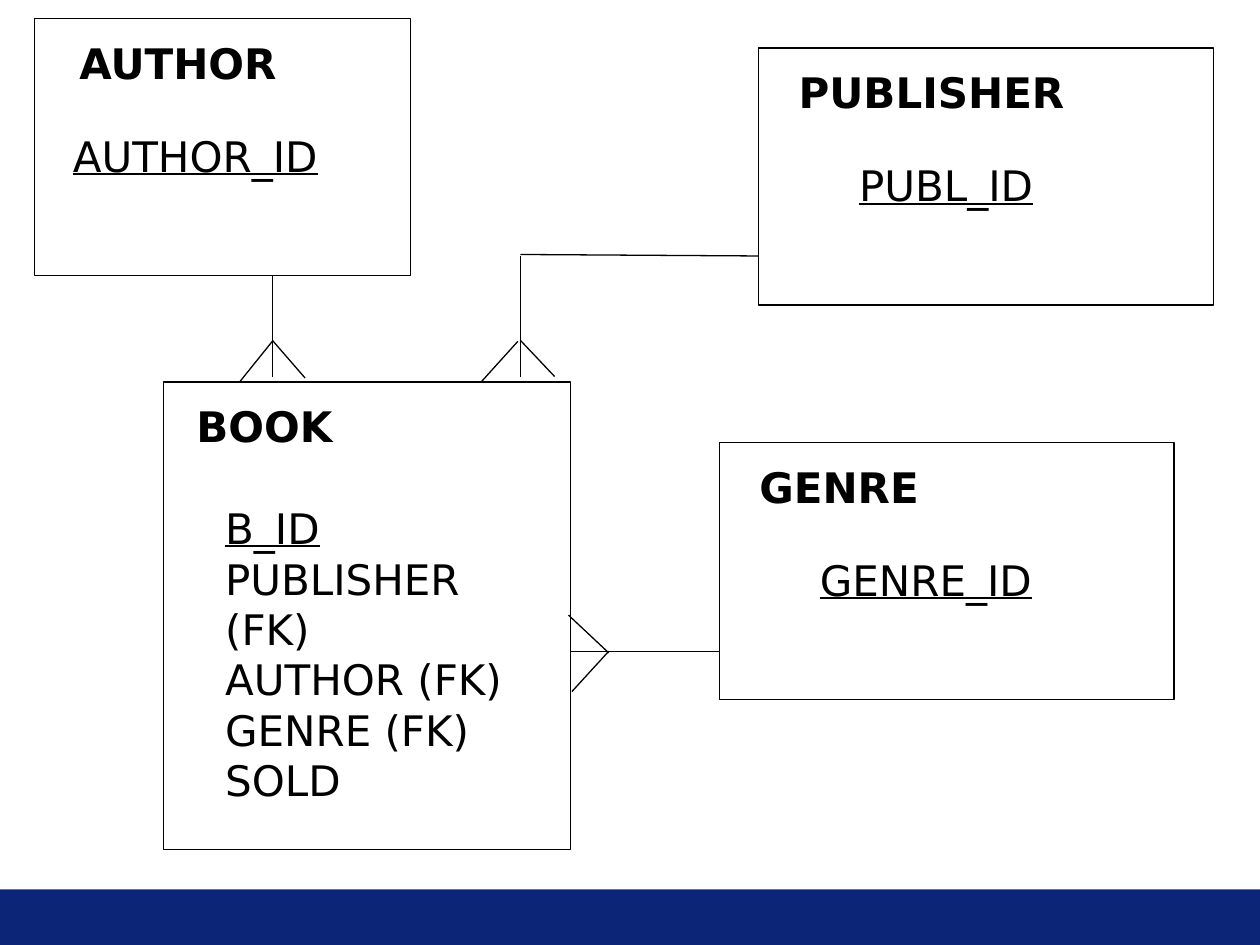
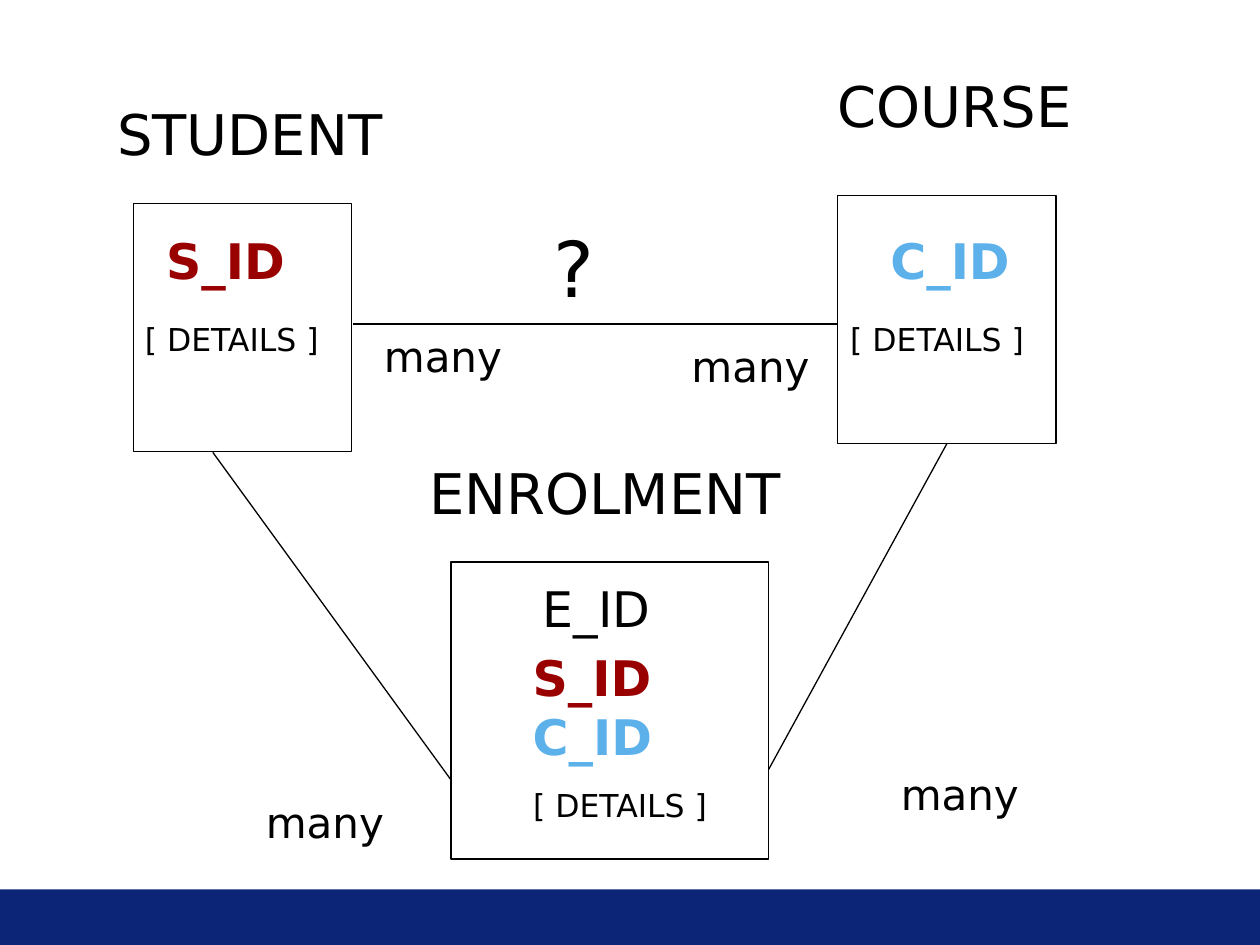
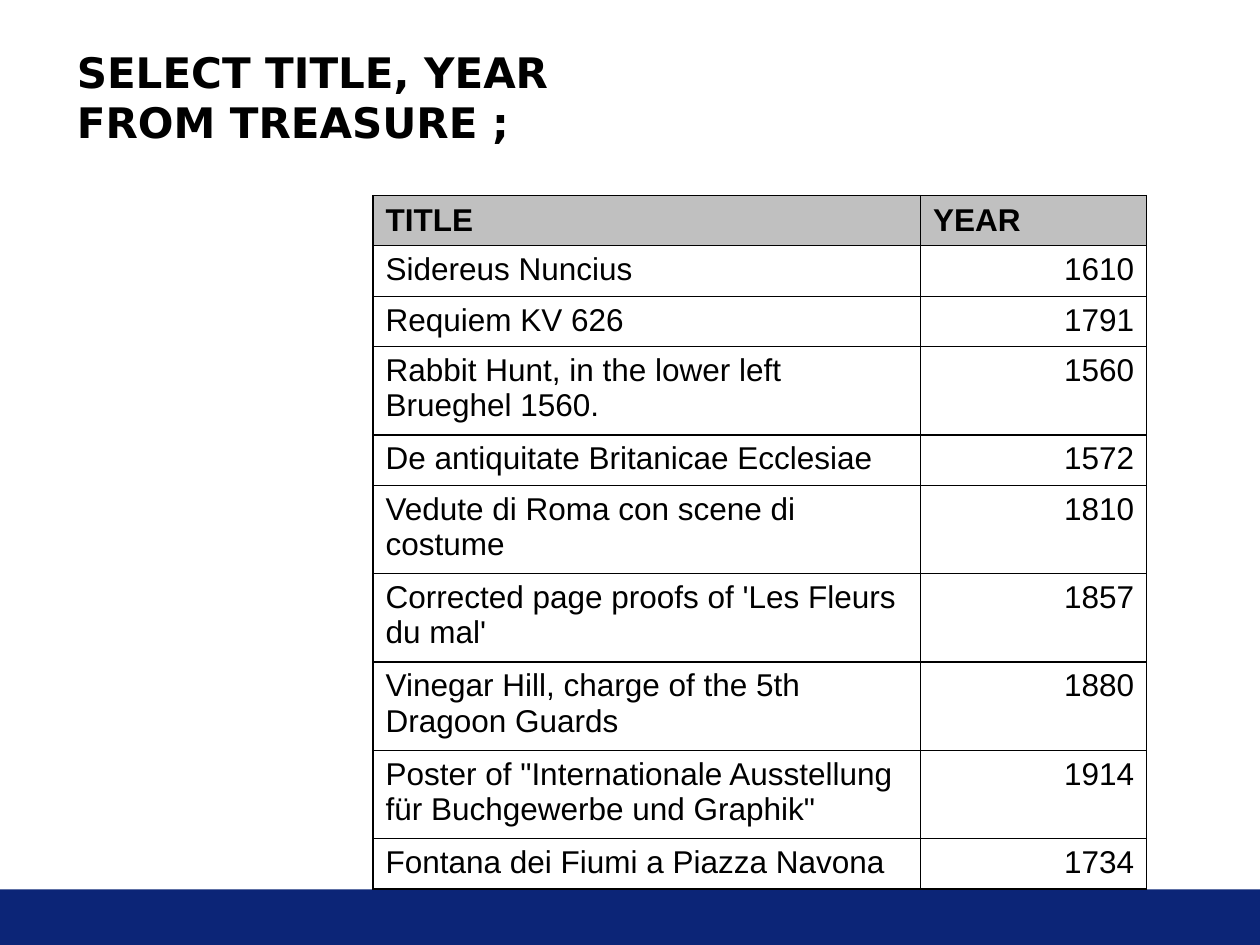
import pptx
import pptx.dml.color
import pptx.enum.shapes
import pptx.enum.text
import pptx.oxml.ns
import pptx.util
from lxml import etree
from pptx.util import Cm, Pt

COLORS = {"ink": "000000", "band": "0C2577", "paper": "FFFFFF",
          "header": "C0C0C0", "student": "990000", "course": "5CB1EB"}
DIAGRAM_FONT, TABLE_FONT = "DejaVu Sans", "Arial"
LINE_WIDTH = Pt(0.75)
ALIGN = pptx.enum.text.PP_ALIGN

# All lengths are in centimetres.
# name, box, name indent, key offset, key width, key, other fields
ENTITIES = [
    ("BOOK", (3.3, 7.7, 8.2, 9.42), 0.41, (0.99, 2.31), 6.6, "B_ID",
     ["PUBLISHER (FK)", "AUTHOR (FK)", "GENRE (FK)", "SOLD"]),
    ("AUTHOR", (0.69, 0.38, 7.59, 5.18), 0.66, (0.53, 2.13), 7.09, "AUTHOR_ID", []),
    ("PUBLISHER", (15.29, 0.97, 9.17, 5.18), 0.56, (1.78, 2.13), 7.39, "PUBL_ID", []),
    ("GENRE", (14.5, 8.92, 9.17, 5.18), 0.56, (1.78, 2.13), 7.39, "GENRE_ID", []),
]
NAME_DROP = 0.25
RELATIONS = [
    ((14.5, 13.13), (11.51, 13.13)),
    ((5.49, 7.59), (5.49, 5.56)),
    ((10.49, 7.59), (10.49, 5.16)),
    ((15.29, 5.16), (10.49, 5.13)),
]
CROW_FEET = [
    ((9.7, 7.7), (10.44, 6.88)), ((11.18, 7.59), (10.49, 6.86)),
    ((4.83, 7.7), (5.49, 6.88)), ((6.15, 7.62), (5.49, 6.86)),
    ((11.53, 13.94), (12.27, 13.13)), ((11.46, 12.4), (12.27, 13.16)),
]

STUDENT_BOX = (2.69, 4.11, 4.4, 5)
COURSE_BOX = (16.89, 3.94, 4.4, 5)
ENROLMENT_BOX = (9.09, 11.33, 6.4, 5.99)
STUDENT_TO_COURSE = ((7.11, 6.53), (16.89, 6.53))
STUDENT_TO_ENROLMENT = ((4.29, 9.12), (9.09, 15.72))
COURSE_TO_ENROLMENT = ((19.09, 8.94), (15.49, 15.52))
# text, left, top, width, size
HEADINGS = [
    ("STUDENT", 2.11, 1.88, 6, 32),
    ("COURSE", 16.64, 1.32, 7, 32),
    ("ENROLMENT", 8.41, 9.12, 9.4, 32),
    ("?", 10.9, 4.32, 4.4, 44),
]
MANY_PLACES = [(7.49, 6.53), (13.69, 6.73), (5.11, 15.93), (17.91, 15.37)]
# text, left, top, width, colour
KEYS = [
    ("S_ID", 3.1, 4.52, 4, "student"),
    ("C_ID", 17.7, 4.52, 3.6, "course"),
    ("S_ID", 10.49, 12.93, 5, "student"),
    ("C_ID", 10.49, 14.12, 4.4, "course"),
    ("E_ID", 10.69, 11.53, 3, "ink"),
]
# left, top, width, alignment
DETAILS_PLACES = [
    (9.4, 15.72, 6.2, ALIGN.CENTER),
    (16.89, 6.32, 6, ALIGN.LEFT),
    (2.67, 6.32, 7, ALIGN.LEFT),
]

QUERY = ["SELECT TITLE, YEAR", "FROM TREASURE ;"]
TREASURES = [
    ("TITLE", "YEAR"),
    ("Sidereus Nuncius", "1610"),
    ("Requiem KV 626", "1791"),
    ("Rabbit Hunt, in the lower left Brueghel 1560.", "1560"),
    ("De antiquitate Britanicae Ecclesiae", "1572"),
    ("Vedute di Roma con scene di costume", "1810"),
    ("Corrected page proofs of 'Les Fleurs du mal'", "1857"),
    ("Vinegar Hill, charge of the 5th Dragoon Guards", "1880"),
    ('Poster of "Internationale Ausstellung für Buchgewerbe und Graphik"', "1914"),
    ("Fontana dei Fiumi a Piazza Navona", "1734"),
]
TREASURE_PLACE = (7.52, 3.94, 15.6, 13.97)
COLUMN_WIDTHS = (11.04, 4.56)
ROW_HEIGHT = 0.69


def color(key):
    return pptx.dml.color.RGBColor.from_string(COLORS[key])


def style(paragraph, size, font=DIAGRAM_FONT, ink="ink", bold=False,
          underline=False, align=ALIGN.LEFT):
    paragraph.alignment = align
    paragraph.font.name = font
    paragraph.font.size = Pt(size)
    paragraph.font.bold = bold
    paragraph.font.underline = underline
    paragraph.font.color.rgb = color(ink)


def add_text(slide, lines, left, top, width, size, underlined_lines=0, **look):
    """Stack lines in one text box; the first underlined_lines are underlined."""
    height = Pt(len(lines) * size * 1.2) + Cm(0.25)
    frame = slide.shapes.add_textbox(Cm(left), Cm(top), Cm(width), height).text_frame
    frame.word_wrap = True
    frame.auto_size = pptx.enum.text.MSO_AUTO_SIZE.SHAPE_TO_FIT_TEXT
    frame.text = "\n".join(lines)
    for number, paragraph in enumerate(frame.paragraphs):
        style(paragraph, size, underline=number < underlined_lines, **look)


def add_rectangle(slide, place, fill=None):
    """Draw a filled rectangle, or an outlined one when no fill is given."""
    rectangle = slide.shapes.add_shape(
        pptx.enum.shapes.MSO_SHAPE.RECTANGLE, *map(Cm, place))
    rectangle.shadow.inherit = False
    if fill:
        rectangle.fill.solid()
        rectangle.fill.fore_color.rgb = color(fill)
        rectangle.line.fill.background()
    else:
        rectangle.fill.background()
        rectangle.line.color.rgb = color("ink")
        rectangle.line.width = LINE_WIDTH
    return rectangle


def add_line(slide, start, end):
    line = slide.shapes.add_connector(
        pptx.enum.shapes.MSO_CONNECTOR.STRAIGHT, *map(Cm, start + end))
    line.line.color.rgb = color("ink")
    line.line.width = LINE_WIDTH
    etree.SubElement(line._element.spPr, pptx.oxml.ns.qn("a:effectLst"))
    return line


def add_borders(cell):
    properties = cell._tc.get_or_add_tcPr()
    for side in ("lnL", "lnR", "lnT", "lnB"):
        border = etree.SubElement(properties, pptx.oxml.ns.qn("a:" + side),
                                  w=str(int(LINE_WIDTH)))
        fill = etree.SubElement(border, pptx.oxml.ns.qn("a:solidFill"))
        etree.SubElement(fill, pptx.oxml.ns.qn("a:srgbClr"), val=COLORS["ink"])


def add_slide(deck):
    """Add a blank slide with the band along its foot."""
    slide = deck.slides.add_slide(deck.slide_layouts[6])
    add_rectangle(slide, (0, 17.93, 25.4, 1.12), "band")
    return slide


def build_book_model(slide):
    for name, box, indent, (key_x, key_y), key_width, key, fields in ENTITIES:
        left, top, width, _ = box
        add_rectangle(slide, box)
        add_text(slide, [name], left + indent, top + NAME_DROP,
                 width - 2 * indent, 24, bold=True)
        add_text(slide, [key] + fields, left + key_x, top + key_y,
                 key_width, 24, underlined_lines=1)
    for start, end in RELATIONS + CROW_FEET:
        add_line(slide, start, end)


def build_enrolment_model(slide):
    add_rectangle(slide, STUDENT_BOX)
    course = add_rectangle(slide, COURSE_BOX)
    add_rectangle(slide, ENROLMENT_BOX)
    add_line(slide, *STUDENT_TO_COURSE)
    add_line(slide, *STUDENT_TO_ENROLMENT)
    add_line(slide, *COURSE_TO_ENROLMENT).begin_connect(course, 2)
    for heading, left, top, width, size in HEADINGS:
        add_text(slide, [heading], left, top, width, size)
    for left, top in MANY_PLACES:
        add_text(slide, ["many"], left, top, 3.6, 24)
    for key, left, top, width, ink in KEYS:
        add_text(slide, [key], left, top, width, 28, ink=ink, bold=ink != "ink")
    for left, top, width, align in DETAILS_PLACES:
        add_text(slide, ["[ DETAILS ]"], left, top, width, 18, align=align)


def build_query_result(slide):
    add_text(slide, QUERY, 1.3, 0.81, 21.8, 24, bold=True)
    frame = slide.shapes.add_table(
        len(TREASURES), len(COLUMN_WIDTHS), *map(Cm, TREASURE_PLACE))
    treasures = frame.table
    for column, width in zip(treasures.columns, COLUMN_WIDTHS):
        column.width = Cm(width)
    for row_number, record in enumerate(TREASURES):
        treasures.rows[row_number].height = Cm(ROW_HEIGHT)
        is_header = row_number == 0
        for column_number, value in enumerate(record):
            cell = treasures.cell(row_number, column_number)
            cell.text = value
            is_year = column_number == 1 and not is_header
            style(cell.text_frame.paragraphs[0], 18, TABLE_FONT, bold=is_header,
                  align=ALIGN.RIGHT if is_year else ALIGN.LEFT)
            if is_header:
                cell.vertical_anchor = pptx.enum.text.MSO_ANCHOR.MIDDLE
            add_borders(cell)
            cell.fill.solid()
            cell.fill.fore_color.rgb = color("header" if is_header else "paper")
    frame.height = Cm(TREASURE_PLACE[3])


def main():
    deck = pptx.Presentation()
    deck.slide_width, deck.slide_height = Cm(25.4), Cm(19.05)
    for build in (build_book_model, build_enrolment_model, build_query_result):
        build(add_slide(deck))
    deck.save("out.pptx")


if __name__ == "__main__":
    main()
